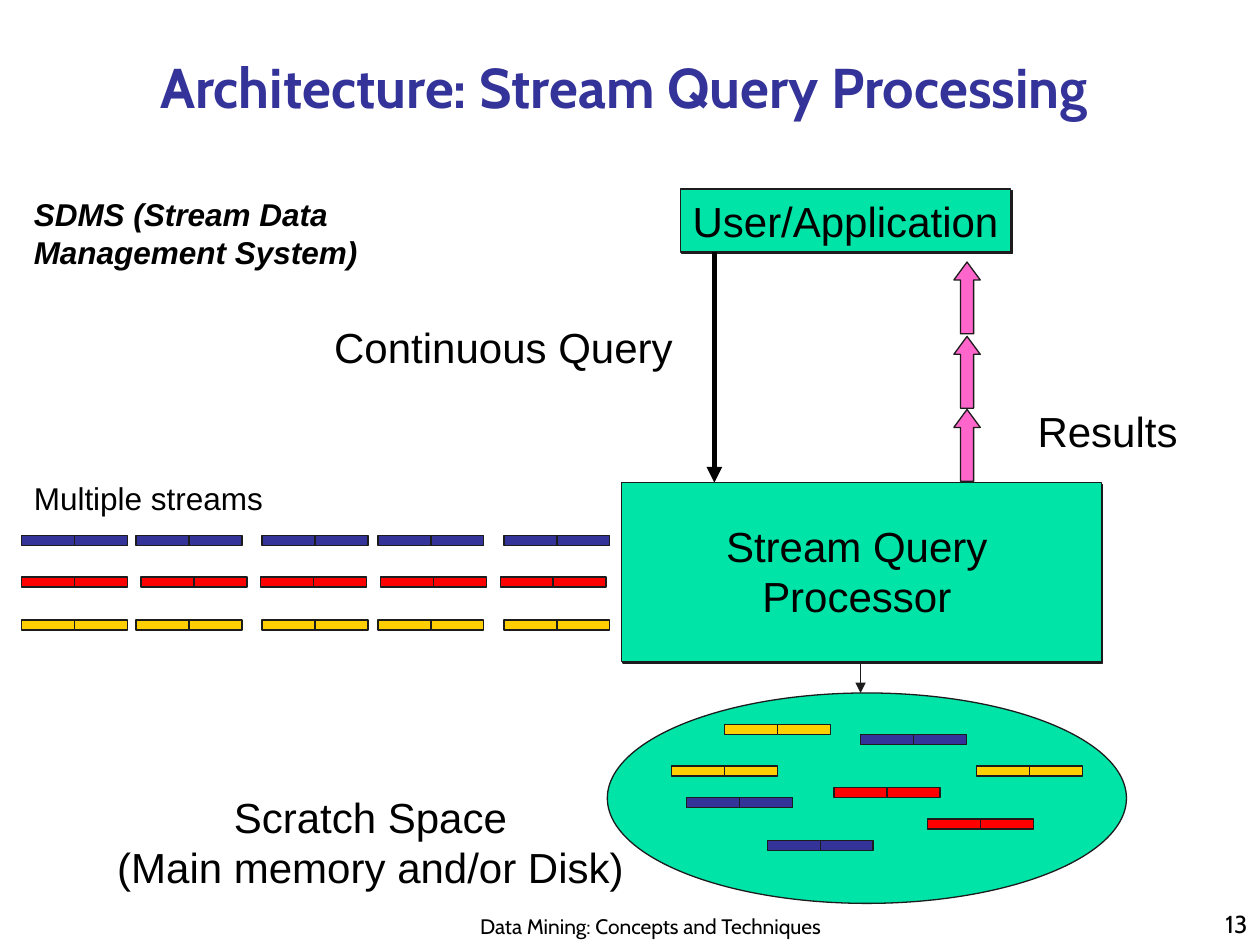
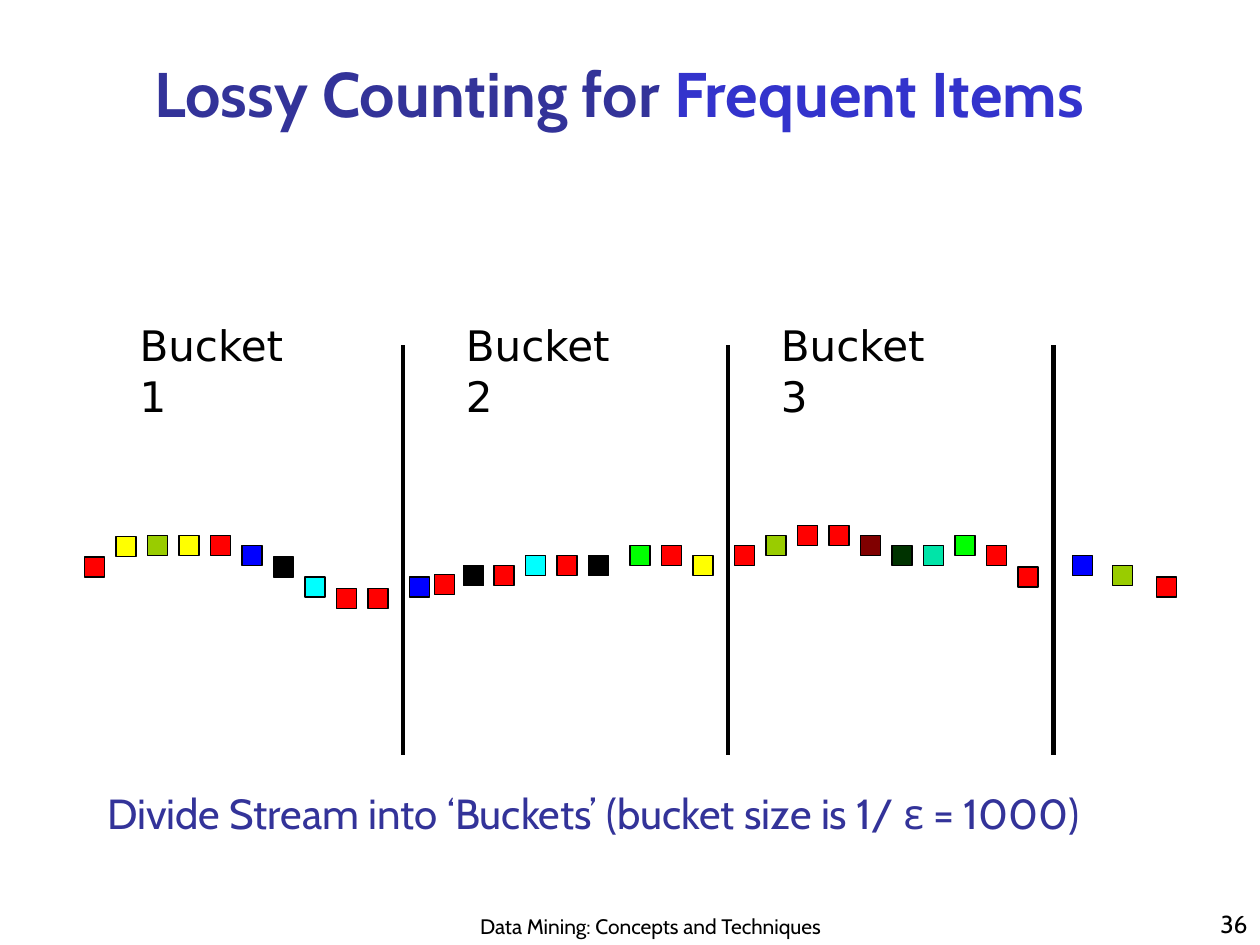
import pptx
import pptx.dml.color
import pptx.enum.shapes
import pptx.enum.text
import pptx.oxml.ns
import pptx.util
from lxml import etree

Inches = pptx.util.Inches
Pt = pptx.util.Pt
RGBColor = pptx.dml.color.RGBColor
Shape = pptx.enum.shapes.MSO_SHAPE
Align = pptx.enum.text.PP_ALIGN
Anchor = pptx.enum.text.MSO_ANCHOR
qn = pptx.oxml.ns.qn

BLACK = RGBColor(0x00, 0x00, 0x00)
OUTLINE = RGBColor(0x1C, 0x1C, 0x1C)
NAVY = RGBColor(0x33, 0x33, 0x99)
INDIGO = RGBColor(0x33, 0x33, 0xCC)
MINT = RGBColor(0x00, 0xE4, 0xA8)
PINK = RGBColor(0xFF, 0x66, 0xCC)
GOLD = RGBColor(0xFF, 0xCF, 0x01)
RED = RGBColor(0xFF, 0x00, 0x00)
YELLOW = RGBColor(0xFF, 0xFF, 0x00)
LIME = RGBColor(0x00, 0xFF, 0x00)
BLUE = RGBColor(0x00, 0x00, 0xFF)
CYAN = RGBColor(0x00, 0xFF, 0xFF)
OLIVE = RGBColor(0x99, 0xCC, 0x00)
MAROON = RGBColor(0x80, 0x00, 0x00)
FOREST = RGBColor(0x00, 0x33, 0x00)

HEADING_FONT = "Cabin"
DIAGRAM_FONT = "Arial"
BUCKET_FONT = "DejaVu Sans"
FOOTER = "Data Mining: Concepts and Techniques"

TUPLE_HALF = 0.42
TUPLE_HEIGHT = 0.08
ITEM_SIZE = 0.16


def write(frame, text, size=24, font=DIAGRAM_FONT, color=BLACK, bold=False, italic=False,
          align=Align.CENTER, anchor=Anchor.TOP, wrap=True, accent="", accent_color=INDIGO):
    """Fill a frame, one paragraph per line; accent follows the last line in its own colour."""
    frame.word_wrap = wrap
    frame.vertical_anchor = anchor
    frame.margin_left = frame.margin_right = Inches(0.1)
    frame.margin_top = frame.margin_bottom = Inches(0.05)
    lines = [[(line, color)] for line in text.split("\n")]
    if accent:
        lines[-1].append((accent, accent_color))
    for number, pieces in enumerate(lines):
        paragraph = frame.add_paragraph() if number else frame.paragraphs[0]
        paragraph.alignment = align
        for words, shade in pieces:
            run = paragraph.add_run()
            run.text = words
            run.font.name = font
            run.font.size = Pt(size)
            run.font.bold = bold
            run.font.italic = italic
            run.font.color.rgb = shade


class Deck:
    """Holds the presentation, its shared style and the slide being drawn."""

    def __init__(self):
        self.presentation = pptx.Presentation()
        self.presentation.slide_width = Inches(10)
        self.presentation.slide_height = Inches(7.5)
        self.slide = None

    def new_slide(self, number):
        self.slide = self.presentation.slides.add_slide(self.presentation.slide_layouts[6])
        self.label(FOOTER, 3.58, 7.08, 3.17, 0.42, size=12, font=HEADING_FONT,
                   anchor=Anchor.BOTTOM)
        self.label(str(number), 7.92, 7, 2.08, 0.5, size=14, font=HEADING_FONT,
                   align=Align.RIGHT, anchor=Anchor.BOTTOM)

    def title(self, text, left, top, width, height, **style):
        self.label(text, left, top, width, height, font=HEADING_FONT, color=NAVY,
                   bold=True, anchor=Anchor.BOTTOM, **style)

    def label(self, text, left, top, width, height, **style):
        box = self.slide.shapes.add_textbox(Inches(left), Inches(top),
                                            Inches(width), Inches(height))
        write(box.text_frame, text, **style)

    def shape(self, kind, left, top, width, height, fill, line=OUTLINE):
        shape = self.slide.shapes.add_shape(kind, Inches(left), Inches(top),
                                            Inches(width), Inches(height))
        shape.shadow.inherit = False
        shape.fill.solid()
        shape.fill.fore_color.rgb = fill
        shape.line.color.rgb = line
        shape.line.width = Pt(0.75)
        return shape

    def raised_box(self, left, top, width, height):
        """Mint box with a hard shadow to the lower right."""
        box = self.shape(Shape.RECTANGLE, left, top, width, height, MINT)
        effects = box._element.spPr.find(qn("a:effectLst"))
        shadow = etree.SubElement(effects, qn("a:outerShdw"), blurRad="0",
                                  dist=str(Pt(1.4)), dir=str(45 * 60000),
                                  algn="ctr", rotWithShape="0")
        etree.SubElement(shadow, qn("a:srgbClr"), val=str(OUTLINE))
        return box

    def line(self, x, top, bottom, weight, color=BLACK, arrow=False):
        """Vertical line, with an optional arrowhead at the bottom."""
        line = self.slide.shapes.add_connector(
            pptx.enum.shapes.MSO_CONNECTOR.STRAIGHT,
            Inches(x), Inches(top), Inches(x), Inches(bottom))
        line.line.color.rgb = color
        line.line.width = Pt(weight)
        properties = line._element.spPr
        if arrow:
            etree.SubElement(properties.find(qn("a:ln")), qn("a:tailEnd"), type="triangle")
        etree.SubElement(properties, qn("a:effectLst"))

    def stream_tuple(self, left, top, color):
        """Two cells side by side: one element of a stream."""
        for cell in range(2):
            self.shape(Shape.RECTANGLE, left + cell * TUPLE_HALF, top,
                       TUPLE_HALF, TUPLE_HEIGHT, color)

    def item(self, left, top, color):
        self.shape(Shape.RECTANGLE, left, top, ITEM_SIZE, ITEM_SIZE, color, line=BLACK)


def draw_architecture(deck):
    deck.new_slide(13)
    deck.title("Architecture: Stream Query Processing", 0.08, 0.33, 9.75, 0.67, size=32)
    deck.label("SDMS (Stream Data Management System)", 0.17, 1.5, 3, 0.7, size=18,
               bold=True, italic=True, align=Align.LEFT)

    application = deck.raised_box(5.4, 1.5, 2.62, 0.5)
    write(application.text_frame, "User/Application", wrap=False)
    deck.line(5.67, 2, 3.83, weight=3, arrow=True)
    deck.label("Continuous Query", 2.39, 2.5, 3.21, 0.5)

    deck.raised_box(4.93, 3.83, 3.81, 1.42)
    deck.label("Stream Query\nProcessor", 5.3, 4.08, 3, 0.9)
    deck.label("Results", 7.89, 3.17, 1.8, 0.5)
    for top in (2.08, 2.67, 3.25):
        result = deck.shape(Shape.UP_ARROW, 7.57, top, 0.21, 0.57, PINK)
        result.adjustments[0] = 0.5
        result.adjustments[1] = 0.68

    deck.label("Multiple streams", 0.17, 3.75, 2.02, 0.4, size=18,
               align=Align.LEFT, wrap=False)
    uneven = (0.17, 1.08, 2.08, 3, 4)
    even = [0.17 + 0.95 * i for i in range(5)]
    for top, color, lefts in ((4.25, NAVY, uneven), (4.58, RED, even), (4.92, GOLD, uneven)):
        for left in lefts:
            deck.stream_tuple(left, top, color)

    deck.line(6.83, 5.25, 5.5, weight=0.75, color=OUTLINE, arrow=True)
    deck.shape(Shape.OVAL, 4.82, 5.5, 4.12, 1.67, MINT)
    deck.label("Scratch Space\n(Main memory and/or Disk)", 0.83, 6.23, 4.22, 0.9, wrap=False)
    stored_tuples = (
        (5.75, 5.75, GOLD), (6.83, 5.83, NAVY), (5.33, 6.08, GOLD), (7.75, 6.08, GOLD),
        (6.62, 6.25, RED), (5.45, 6.33, NAVY), (7.36, 6.5, RED), (6.09, 6.67, NAVY),
    )
    for left, top, color in stored_tuples:
        deck.stream_tuple(left, top, color)


def draw_lossy_counting(deck):
    deck.new_slide(36)
    deck.title("Lossy Counting for ", 0.33, 0.25, 9.17, 0.83, size=36, accent="Frequent Items")

    for number, left in enumerate((1.01, 3.6, 6.1), start=1):
        deck.label(f"Bucket {number}", left, 2.49, 1.54, 0.5, font=BUCKET_FONT,
                   align=Align.LEFT)
        deck.line(3.2 + 2.58 * (number - 1), 2.74, 5.99, weight=2.5)

    # Each bucket: left edges, top edges and colours of its items.
    buckets = (
        ([0.67 + 0.25 * i for i in range(10)],
         (4.42, 4.26, 4.25, 4.25, 4.25, 4.33, 4.42, 4.58, 4.67, 4.67),
         (RED, YELLOW, OLIVE, YELLOW, RED, BLUE, BLACK, CYAN, RED, RED)),
        ((3.25, 3.45, 3.68, 3.92, 4.17, 4.42, 4.67, 5, 5.25, 5.5),
         (4.58, 4.56, 4.49, 4.49, 4.41, 4.41, 4.41, 4.33, 4.33, 4.41),
         (BLUE, RED, BLACK, RED, CYAN, RED, BLACK, LIME, RED, YELLOW)),
        ([5.83 + 0.25 * i for i in range(10)],
         (4.33, 4.25, 4.17, 4.17, 4.25, 4.33, 4.33, 4.25, 4.33, 4.5),
         (RED, OLIVE, RED, RED, MAROON, FOREST, MINT, LIME, RED, RED)),
        ((8.51, 8.83, 9.18), (4.41, 4.49, 4.58), (BLUE, OLIVE, RED)),
    )
    for bucket in buckets:
        for left, top, color in zip(*bucket):
            deck.item(left, top, color)

    deck.label("Divide Stream into ‘Buckets’ (bucket size is 1/ ε = 1000)", 0.34, 6.2, 8.74, 0.5,
               font=HEADING_FONT, color=NAVY, wrap=False)


def main():
    deck = Deck()
    draw_architecture(deck)
    draw_lossy_counting(deck)
    deck.presentation.save("out.pptx")


if __name__ == "__main__":
    main()
